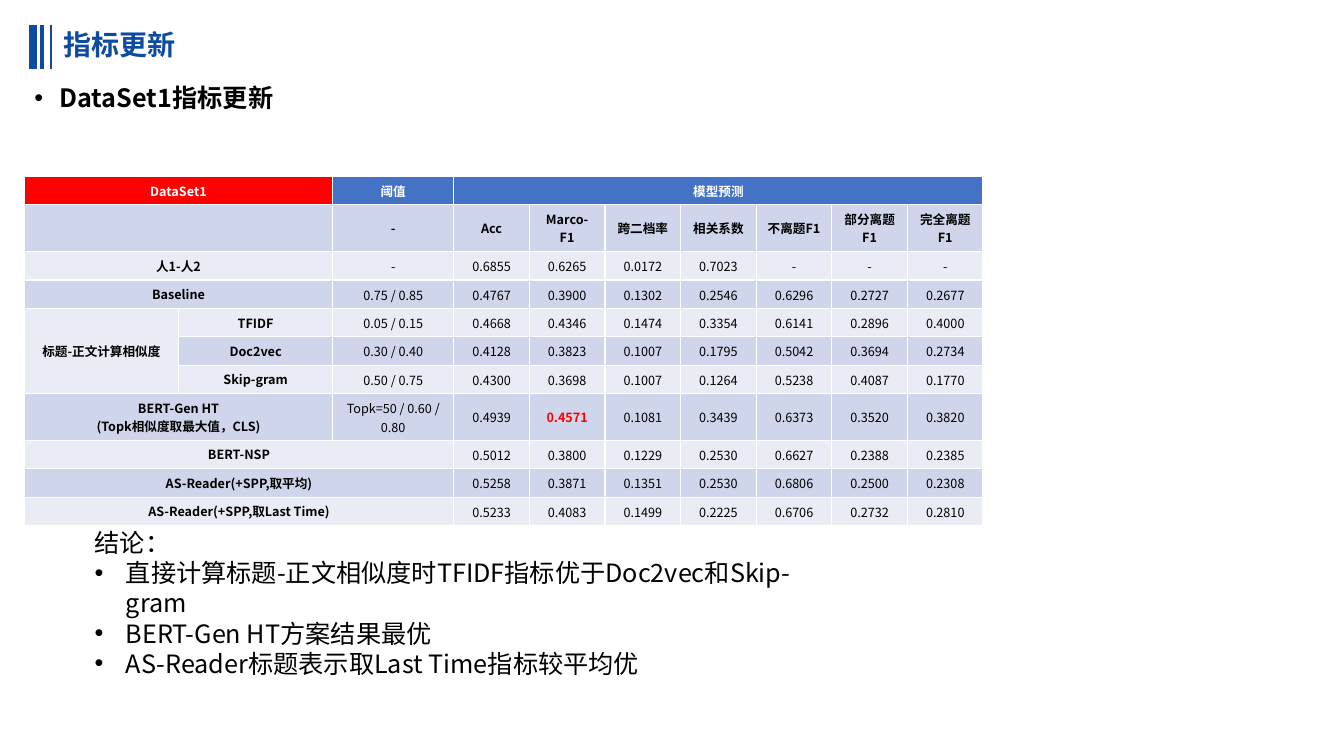
from dataclasses import dataclass

from lxml import etree
from pptx import Presentation
from pptx import util as u
from pptx.dml.color import RGBColor
from pptx.enum import shapes, text
from pptx.oxml import ns


@dataclass(frozen=True)
class Theme:
    font: str = "Noto Sans CJK SC"
    brand: str = "0C4BA1"
    ink: str = "000000"
    white: str = "FFFFFF"
    accent: str = "FF0000"
    header: str = "4472C4"
    bands: tuple = ("CFD5EA", "E9EBF5")
    title: int = 20
    body: int = 18
    cell: int = 9


T = Theme()
SCORE_COLS = 7
COL_WIDTHS = [1.53, 1.53, 1.2] + [0.75] * SCORE_COLS
ROW, TALL_ROW = 0.28, 0.46
TALL_ROWS = (1, 7)
BEST = "0.4571"

ROWS = [
    ["DataSet1", "", "阈值", "模型预测"] + [""] * (SCORE_COLS - 1),
    ["", "", "-", "Acc", "Marco-F1", "跨二档率", "相关系数", "不离题F1", "部分离题F1", "完全离题F1"],
    ["人1-人2", "", "-", "0.6855", "0.6265", "0.0172", "0.7023", "-", "-", "-"],
    ["Baseline", "", "0.75 / 0.85", "0.4767", "0.3900", "0.1302", "0.2546", "0.6296", "0.2727", "0.2677"],
    ["标题-正文计算相似度", "TFIDF", "0.05 / 0.15",
     "0.4668", "0.4346", "0.1474", "0.3354", "0.6141", "0.2896", "0.4000"],
    ["", "Doc2vec", "0.30 / 0.40", "0.4128", "0.3823", "0.1007", "0.1795", "0.5042", "0.3694", "0.2734"],
    ["", "Skip-gram", "0.50 / 0.75", "0.4300", "0.3698", "0.1007", "0.1264", "0.5238", "0.4087", "0.1770"],
    ["BERT-Gen HT\n(Topk相似度取最大值，CLS)", "", "Topk=50 / 0.60 / 0.80",
     "0.4939", BEST, "0.1081", "0.3439", "0.6373", "0.3520", "0.3820"],
    ["BERT-NSP", "", "", "0.5012", "0.3800", "0.1229", "0.2530", "0.6627", "0.2388", "0.2385"],
    ["AS-Reader(+SPP,取平均)", "", "",
     "0.5258", "0.3871", "0.1351", "0.2530", "0.6806", "0.2500", "0.2308"],
    ["AS-Reader(+SPP,取Last Time)", "", "",
     "0.5233", "0.4083", "0.1499", "0.2225", "0.6706", "0.2732", "0.2810"],
]
# First row, first column, last row, last column
MERGES = [(0, 0, 0, 1), (0, 3, 0, 9), (4, 0, 6, 0)]
MERGES += [(r, 0, r, 1) for r in (1, 2, 3, 7)] + [(r, 0, r, 2) for r in (8, 9, 10)]

CONCLUSIONS = [
    "直接计算标题-正文相似度时TFIDF指标优于Doc2vec和Skip-gram",
    "BERT-Gen HT方案结果最优",
    "AS-Reader标题表示取Last Time指标较平均优",
]


def style(p, size, color, bold=False):
    f = p.font
    f.name, f.size, f.bold = T.font, u.Pt(size), bold
    f.color.rgb = RGBColor.from_string(color)
    props = p._p.get_or_add_pPr().find(ns.qn("a:defRPr"))
    etree.SubElement(props, ns.qn("a:ea"), typeface=T.font)


def bullet(p, indent):
    """Give the paragraph a round bullet with a hanging indent in inches."""
    props = p._p.get_or_add_pPr()
    props.set("marL", str(u.Inches(indent)))
    props.set("indent", str(-u.Inches(indent)))
    mark = etree.Element(ns.qn("a:buChar"), char="•")
    props.find(ns.qn("a:defRPr")).addprevious(mark)
    mark.addprevious(etree.Element(ns.qn("a:buFont"), typeface="Arial"))


def place(sp, left, top, width, height):
    sp.left, sp.top, sp.width, sp.height = map(u.Inches, (left, top, width, height))


def add_title_bars(s, left, top, height):
    for i, weight in enumerate((6, 3, 1.5)):
        x = u.Inches(left + 0.09 * i)
        line = s.shapes.add_connector(shapes.MSO_CONNECTOR.STRAIGHT,
                                      x, u.Inches(top), x, u.Inches(top + height))
        line.line.color.rgb = RGBColor.from_string(T.brand)
        line.line.width = u.Pt(weight)
        etree.SubElement(line._element.spPr, ns.qn("a:effectLst"))


def fill_title(sp, words, *box):
    place(sp, *box)
    tf = sp.text_frame
    tf.text = words
    tf.auto_size = text.MSO_AUTO_SIZE.NONE
    tf.vertical_anchor = text.MSO_ANCHOR.MIDDLE
    p = tf.paragraphs[0]
    p.alignment, p.line_spacing = text.PP_ALIGN.LEFT, 0.9
    style(p, T.title, T.brand, True)


def fill_body(sp, words, *box):
    place(sp, *box)
    tf = sp.text_frame
    tf.text = words
    tf.auto_size = text.MSO_AUTO_SIZE.NONE
    p = tf.paragraphs[0]
    p.line_spacing, p.space_before = 0.9, u.Pt(10)
    style(p, T.body, T.ink, True)
    bullet(p, 0.25)


def fill_cell(cell, r, c, words):
    cell.text = words
    cell.vertical_anchor = text.MSO_ANCHOR.MIDDLE
    is_score = r > 1 and c > 1
    if is_score:
        cell.margin_left = cell.margin_right = cell.margin_top = u.Inches(0.01)
        cell.margin_bottom = 0
    back = T.bands[(r - 1) % 2] if r else T.header if c > 1 else T.accent
    cell.fill.solid()
    cell.fill.fore_color.rgb = RGBColor.from_string(back)
    best = words == BEST
    color = T.white if r == 0 else T.accent if best else T.ink
    for p in cell.text_frame.paragraphs:
        p.alignment = text.PP_ALIGN.CENTER
        style(p, T.cell, color, best or not is_score)


def add_scores(s, left, top):
    heights = [TALL_ROW if r in TALL_ROWS else ROW for r in range(len(ROWS))]
    box = map(u.Inches, (left, top, sum(COL_WIDTHS), sum(heights)))
    table = s.shapes.add_table(len(ROWS), len(COL_WIDTHS), *box).table
    for column, width in zip(table.columns, COL_WIDTHS):
        column.width = u.Inches(width)
    for row, height in zip(table.rows, heights):
        row.height = u.Inches(height)
    for r, row in enumerate(ROWS):
        for c, words in enumerate(row):
            fill_cell(table.cell(r, c), r, c, words)
    for r1, c1, r2, c2 in MERGES:
        table.cell(r1, c1).merge(table.cell(r2, c2))


def add_conclusions(s, *box):
    tf = s.shapes.add_textbox(*map(u.Inches, box)).text_frame
    tf.word_wrap = True
    tf.text = "\n".join(["结论："] + CONCLUSIONS)
    for i, p in enumerate(tf.paragraphs):
        style(p, T.body, T.ink)
        if i:
            bullet(p, 0.31)


def add_metrics_slide(prs):
    s = prs.slides.add_slide(prs.slide_layouts[1])
    add_title_bars(s, 0.33, 0.25, 0.43)
    fill_title(s.shapes.title, "指标更新", 0.53, 0.21, 6.93, 0.5)
    fill_body(s.placeholders[1], "DataSet1指标更新", 0.24, 0.8, 12.85, 6.08)
    add_scores(s, 0.24, 1.75)
    add_conclusions(s, 0.84, 5.18, 7.62, 1.31)


def main():
    prs = Presentation()
    prs.slide_width, prs.slide_height = u.Inches(13.33), u.Inches(7.5)
    add_metrics_slide(prs)
    prs.save("out.pptx")


if __name__ == "__main__":
    main()
